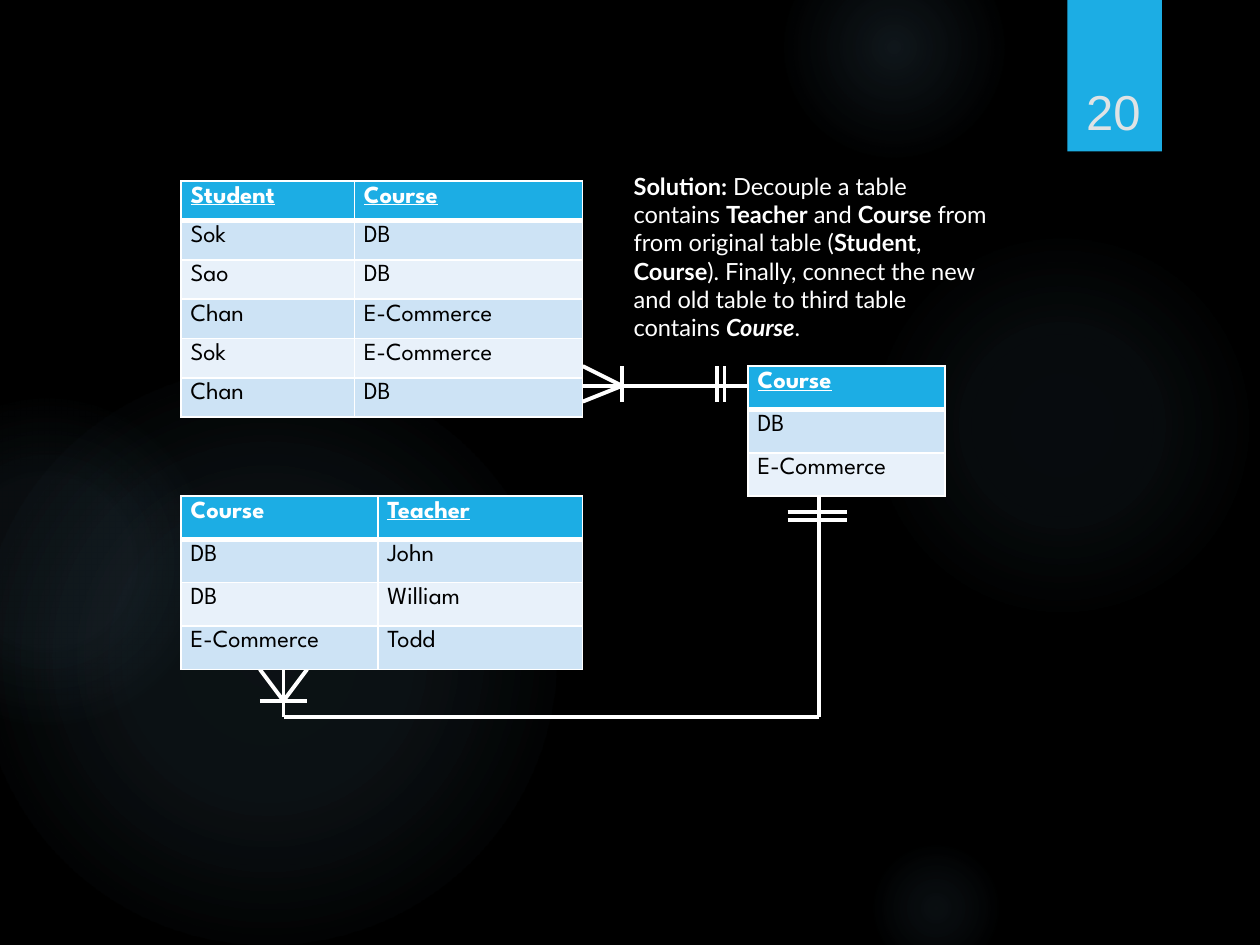
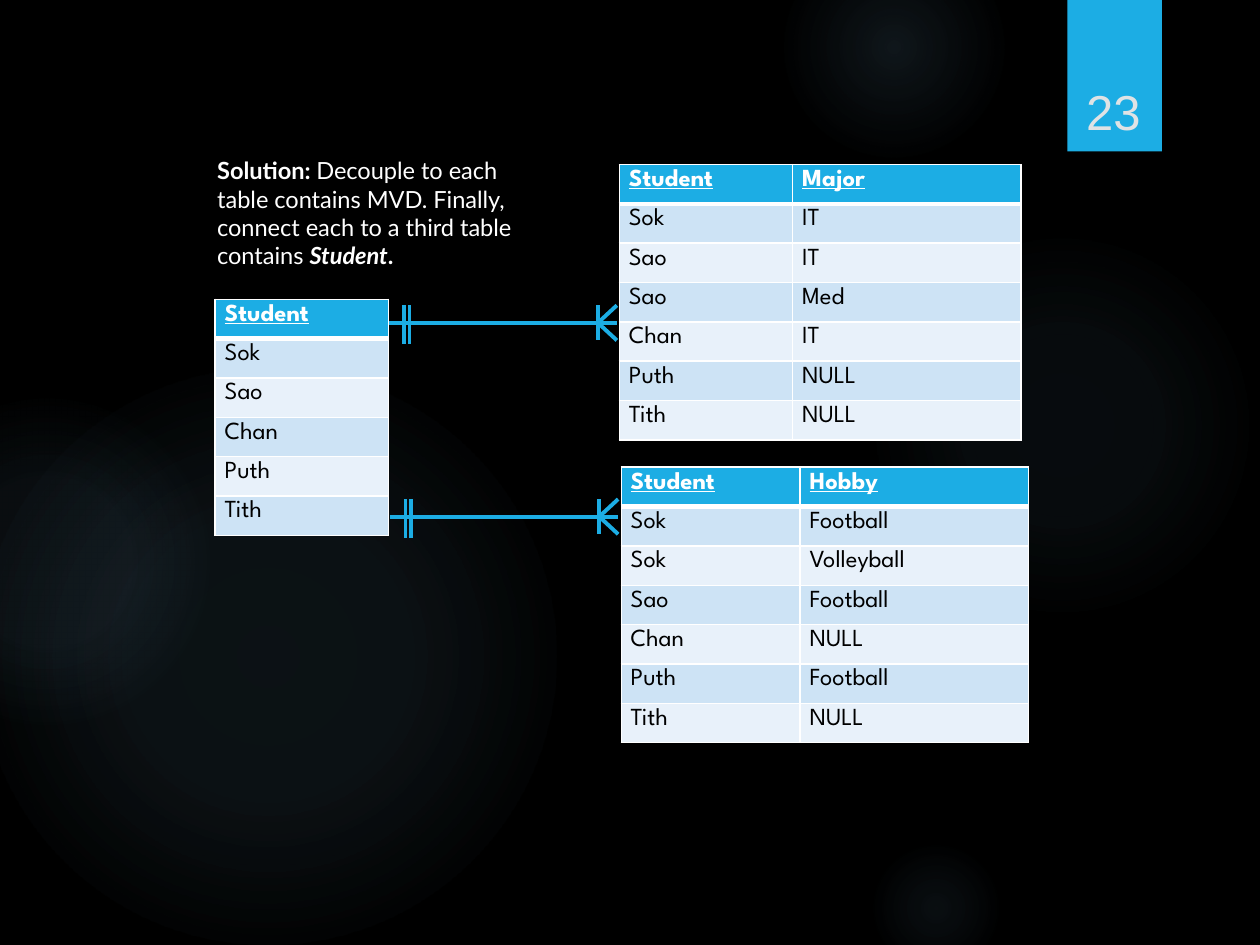
from lxml import etree
from pptx import Presentation
from pptx.dml.color import RGBColor
from pptx.enum.shapes import MSO_CONNECTOR, MSO_SHAPE
from pptx.enum.text import MSO_ANCHOR, PP_ALIGN
from pptx.oxml import parse_xml
from pptx.oxml.ns import nsdecls, qn
from pptx.util import Pt

OVAL, RECT = MSO_SHAPE.OVAL, MSO_SHAPE.RECTANGLE
LINE = MSO_CONNECTOR.STRAIGHT
TOP, BOTTOM = MSO_ANCHOR.TOP, MSO_ANCHOR.BOTTOM
LEFT, CENTER = PP_ALIGN.LEFT, PP_ALIGN.CENTER

BLACK, WHITE, BLUE, GLOW = "000000", "FFFFFF", "1CADE4", "70A1C0"
PALE, SOFT, GREY = "CDE3F5", "E8F1FA", "DFE3E5"
HEAD, BODY, DIGIT = "League Spartan", "Lato", "Arial"

# left, top, size, then (stop, opacity) pairs in percent
GLOWS = [
    (496, 132, 222, [(0, 7), (36, 6), (69, 0)]),
    (448, -36, 126, [(0, 14), (36, 7), (73, 0)]),
    (496, 480, 78, [(0, 9), (36, 5), (66, 0)]),
    (-12, 210, 330, [(0, 11), (36, 10), (75, 0)]),
    (-66, 228, 186, [(0, 8), (36, 8), (72, 0)]),
]


def rgb(code):
    return RGBColor.from_string(code)


def pts(*nums):
    return [Pt(n) for n in nums]


def write(frame, runs, font=BODY, size=13.5, hue=WHITE, align=LEFT, anchor=TOP):
    """Fill a frame with (text, style) runs; style letters are b, i and u."""
    frame.word_wrap = True
    frame.vertical_anchor = anchor
    para = frame.paragraphs[0]
    para.alignment = align
    for text, style in runs:
        run = para.add_run()
        run.text = text
        face = run.font
        face.name, face.size = font, Pt(size)
        face.color.rgb = rgb(hue)
        face.bold, face.italic, face.underline = (c in style for c in "biu")


def note(slide, box, runs, **form):
    write(slide.shapes.add_textbox(*pts(*box)).text_frame, runs, **form)


def plain(slide, kind, box):
    shape = slide.shapes.add_shape(kind, *pts(*box))
    shape.shadow.inherit = False
    shape.line.fill.background()
    return shape


def glow(slide, left, top, size, stops):
    shape = plain(slide, OVAL, (left, top, size, size))
    shape.fill.background()
    marks = "".join(
        f'<a:gs pos="{at * 1000}"><a:srgbClr val="{GLOW}">'
        f'<a:alpha val="{part * 1000}"/></a:srgbClr></a:gs>'
        for at, part in stops)
    grad = parse_xml(
        f'<a:gradFill {nsdecls("a")} rotWithShape="1"><a:gsLst>{marks}</a:gsLst>'
        '<a:path path="circle"><a:fillToRect l="50000" t="50000" '
        'r="50000" b="50000"/></a:path></a:gradFill>')
    props = shape.element.spPr
    props.replace(props.find(qn("a:noFill")), grad)


def base(deck, number):
    """Add a slide with its dark ground, glows and number tag."""
    slide = deck.slides.add_slide(deck.slide_layouts[6])
    fill = slide.background.fill
    fill.solid()
    fill.fore_color.rgb = rgb(BLACK)
    for spot in GLOWS:
        glow(slide, *spot)
    tag = plain(slide, RECT, (610, 0, 54, 86.5))
    tag.fill.solid()
    tag.fill.fore_color.rgb = rgb(BLUE)
    note(slide, (611.5, 23, 49.5, 60.5), [(number, "")], font=DIGIT, size=28,
         hue=GREY, align=CENTER, anchor=BOTTOM)
    return slide


def edge(cell, side, width):
    line = etree.SubElement(cell._tc.get_or_add_tcPr(), qn(f"a:ln{side}"),
                            w=str(Pt(width)))
    fill = etree.SubElement(line, qn("a:solidFill"))
    etree.SubElement(fill, qn("a:srgbClr"), val=WHITE)


def grid(slide, left, top, cols, high, rows, keys):
    """Draw a table whose key columns have underlined heads."""
    frame = slide.shapes.add_table(
        len(rows), len(cols), *pts(left, top, sum(cols), high * len(rows)))
    table = frame.table
    for col, wide in zip(table.columns, cols):
        col.width = Pt(wide)
    for r, row in enumerate(rows):
        table.rows[r].height = Pt(high)
        for c, text in enumerate(row):
            cell = table.cell(r, c)
            cell.margin_left = cell.margin_right = Pt(5.4)
            cell.margin_top = cell.margin_bottom = Pt(2.7)
            for side, width in (("L", 1), ("R", 1), ("T", 3 if r == 1 else 1),
                                ("B", 3 if r == 0 else 1)):
                edge(cell, side, width)
            cell.fill.solid()
            shade = (PALE if r % 2 else SOFT) if r else BLUE
            cell.fill.fore_color.rgb = rgb(shade)
            style = "" if r else "bu" if text in keys else "b"
            write(cell.text_frame, [(text, style)], font=HEAD, size=14,
                  hue=BLACK if r else WHITE)


def stroke(parts, start, end, hue, down=False):
    """Draw a line from (along, across) points; down turns along to vertical."""
    if down:
        start, end = start[::-1], end[::-1]
    line = parts.add_connector(LINE, *pts(*start, *end))
    line.line.color.rgb = rgb(hue)
    line.line.width = Pt(2.25)
    etree.SubElement(line._element.spPr, qn("a:effectLst"))


def bar(parts, at, mid, span, hue, down=False):
    stroke(parts, (at, mid + span[0]), (at, mid + span[1]), hue, down)


def many(parts, side, apex, mid, span, hue, down=False):
    """Draw a crow's foot that opens toward side."""
    for off in span:
        stroke(parts, (apex, mid), (side, mid + off), hue, down)
    bar(parts, apex, mid, span, hue, down)


def one(parts, spots, mid, span, hue, down=False):
    for at in spots:
        bar(parts, at, mid, span, hue, down)


def link(slide, left, mid):
    """Draw a one-to-many link that runs to the right."""
    parts = slide.shapes.add_group_shape().shapes
    right = left + 130.5
    stroke(parts, (left, mid), (right, mid), BLUE)
    many(parts, right, right - 10.8, mid, (-10, 10), BLUE)
    one(parts, (left + 9, left + 12), mid, (-10, 12), BLUE)


def courses(deck):
    slide = base(deck, "20")
    parts = slide.shapes
    span = (-11.25, 9)
    stroke(parts, (427.5, 220.5), (333, 220.5), WHITE)
    many(parts, 333, 355.5, 220.5, span, WHITE)
    one(parts, (409.5, 414), 220.5, span, WHITE)

    bend = [(468, 283.5), (468, 409.5), (162, 409.5), (162, 382.5)]
    for start, end in zip(bend, bend[1:]):
        stroke(parts, start, end, WHITE)
    many(parts, 382.5, 400.5, 162, (-13.5, 13.5), WHITE, down=True)
    one(parts, (292.5, 297), 468, (-18, 16), WHITE, down=True)

    note(slide, (355, 94.5, 220.5, 105), [
        ("Solution:", "b"), (" Decouple a table contains ", ""),
        ("Teacher", "b"), (" and ", ""), ("Course", "b"),
        (" from from original table (", ""), ("Student", "b"), (", ", ""),
        ("Course", "b"),
        ("). Finally, connect the new and old table to third table contains ", ""),
        ("Course", "bi"), (".", "")])
    grid(slide, 103.5, 103.5, (99, 130.5), 22.5, [
        ("Student", "Course"), ("Sok", "DB"), ("Sao", "DB"),
        ("Chan", "E-Commerce"), ("Sok", "E-Commerce"), ("Chan", "DB")],
        ("Student", "Course"))
    grid(slide, 427.5, 209.25, (112.5,), 24.75,
         [("Course",), ("DB",), ("E-Commerce",)], ("Course",))
    grid(slide, 103.5, 283.5, (112.5, 117), 24.75, [
        ("Course", "Teacher"), ("DB", "John"), ("DB", "William"),
        ("E-Commerce", "Todd")], ("Teacher",))


def students(deck):
    slide = base(deck, "23")
    link(slide, 222, 184.5)
    link(slide, 222.75, 295.25)
    note(slide, (117, 85.75, 198, 72.5), [
        ("Solution: ", "b"),
        ("Decouple to each table contains MVD. Finally, connect each to a "
         "third table contains ", ""),
        ("Student", "bi"), (".", "b")])
    grid(slide, 123, 171, (99,), 22.5, [
        ("Student",), ("Sok",), ("Sao",), ("Chan",), ("Puth",), ("Tith",)],
        ("Student",))
    grid(slide, 354, 94, (99, 130.5), 22.5, [
        ("Student", "Major"), ("Sok", "IT"), ("Sao", "IT"), ("Sao", "Med"),
        ("Chan", "IT"), ("Puth", "NULL"), ("Tith", "NULL")],
        ("Student", "Major"))
    grid(slide, 355, 267, (102.25, 130.5), 22.5, [
        ("Student", "Hobby"), ("Sok", "Football"), ("Sok", "Volleyball"),
        ("Sao", "Football"), ("Chan", "NULL"), ("Puth", "Football"),
        ("Tith", "NULL")], ("Student", "Hobby"))


def main():
    deck = Presentation()
    deck.slide_width, deck.slide_height = pts(720, 540)
    courses(deck)
    students(deck)
    deck.save("out.pptx")


if __name__ == "__main__":
    main()
